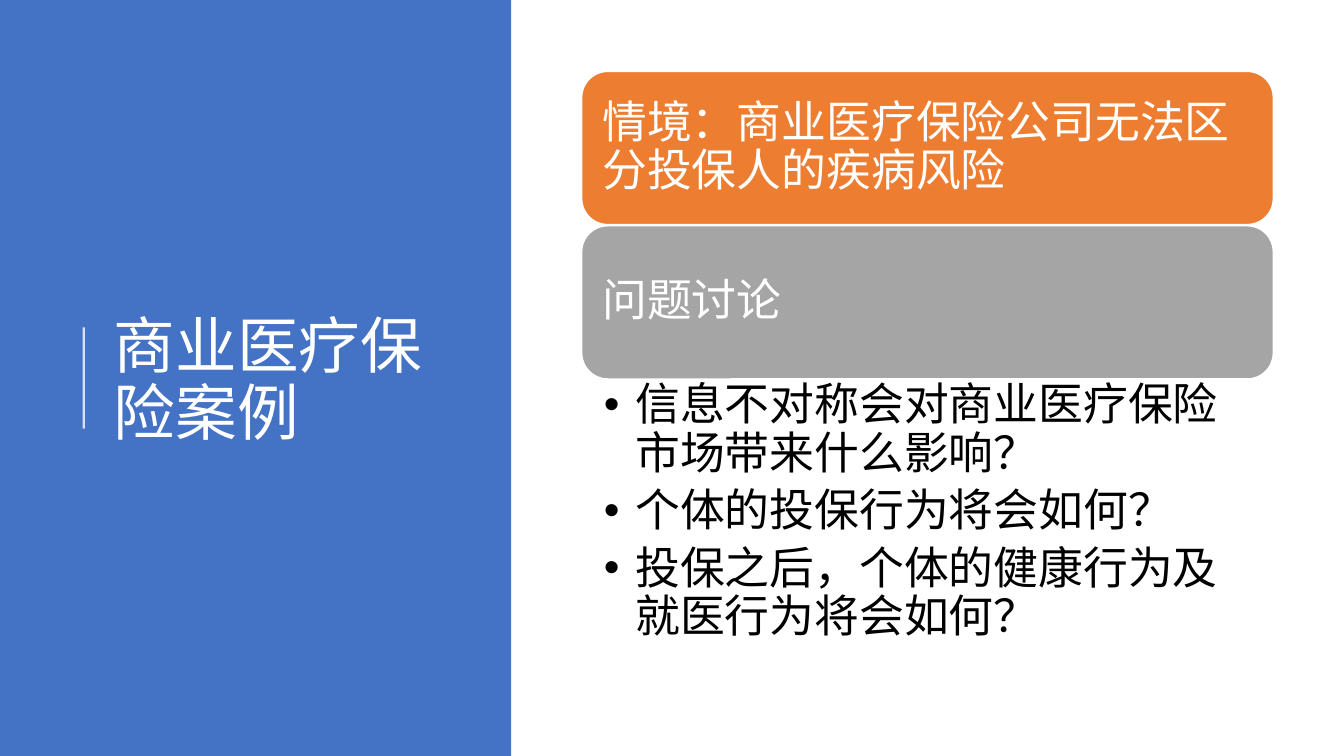
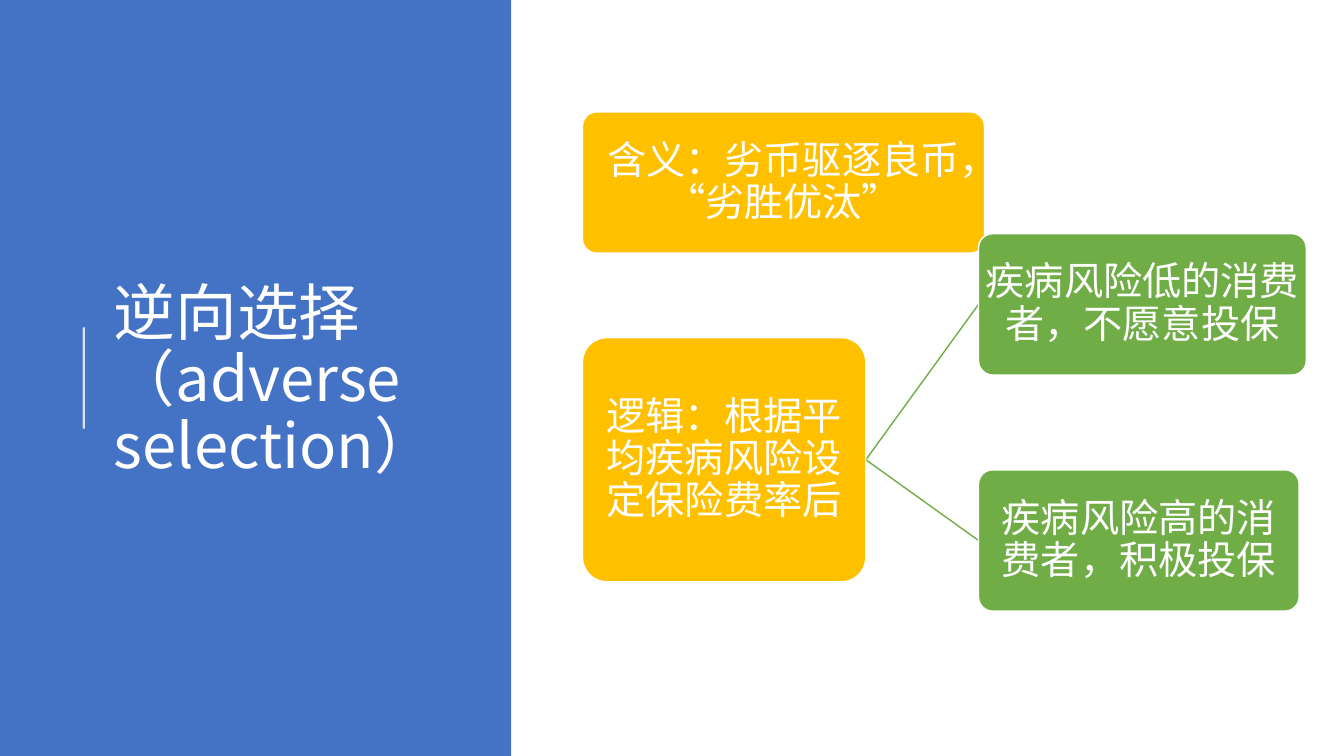
from lxml import etree
from pptx import Presentation
from pptx.dml.color import RGBColor
from pptx.enum.shapes import MSO_CONNECTOR, MSO_SHAPE
from pptx.enum.text import MSO_ANCHOR, PP_ALIGN
from pptx.oxml.ns import qn
from pptx.util import Cm, Pt

WHITE = RGBColor(0xFF, 0xFF, 0xFF)
BLACK = RGBColor(0x00, 0x00, 0x00)
BLUE = RGBColor(0x44, 0x72, 0xC4)
ORANGE = RGBColor(0xED, 0x7D, 0x31)
GREY = RGBColor(0xA5, 0xA5, 0xA5)
GOLD = RGBColor(0xFF, 0xC0, 0x00)
GREEN = RGBColor(0x70, 0xAD, 0x47)

FONT = "Noto Sans CJK SC"
LEFT, CENTER = PP_ALIGN.LEFT, PP_ALIGN.CENTER
TOP, MIDDLE = MSO_ANCHOR.TOP, MSO_ANCHOR.MIDDLE
RECTANGLE, ROUNDED = MSO_SHAPE.RECTANGLE, MSO_SHAPE.ROUNDED_RECTANGLE
STRAIGHT = MSO_CONNECTOR.STRAIGHT


def write_text(box, text, size, margins, color=WHITE, align=LEFT, anchor=MIDDLE, after=0):
    frame = box.text_frame
    frame.word_wrap = True
    frame.vertical_anchor = anchor
    frame.margin_left, frame.margin_top, frame.margin_right, frame.margin_bottom = map(Cm, margins)
    frame.text = text
    for para in frame.paragraphs:
        para.alignment = align
        para.line_spacing = 0.9
        para.space_after = Pt(size * after)
        for span in para.runs:
            span.font.size = Pt(size)
            span.font.color.rgb = color
            span.font.name = FONT
            latin = span.font._element.find(qn("a:latin"))
            latin.addnext(latin.makeelement(qn("a:ea"), {"typeface": FONT}))


def add_line(page, start, end, color, width):
    line = page.shapes.add_connector(STRAIGHT, *map(Cm, start + end))
    line.line.color.rgb = color
    line.line.width = Pt(width)
    etree.SubElement(line._element.spPr, qn("a:effectLst"))
    return line


CASE_LEFT, CASE_WIDTH, CASE_HEIGHT, CASE_STEP = 14.66, 17.43, 3.86, 3.89
CASE_TOP = 1.8
case_cards = [
    (CASE_LEFT, CASE_TOP + row * CASE_STEP, CASE_WIDTH, CASE_HEIGHT, color, text)
    for row, (color, text) in enumerate([
        (ORANGE, "情境：商业医疗保险公司无法区分投保人的疾病风险"),
        (GREY, "问题讨论"),
    ])
]

ROOT_LEFT, BRANCH_LEFT, NODE_HEIGHT = 14.68, 24.66, 3.56
meaning = (ROOT_LEFT, 2.82, 10.13, NODE_HEIGHT, GOLD, "含义：劣币驱逐良币，“劣胜优汰”")
logic = (ROOT_LEFT, 8.51, 7.14, 6.15, GOLD, "逻辑：根据平均疾病风险设定保险费率后")
branches = [
    (BRANCH_LEFT, 5.89, 8.26, NODE_HEIGHT, GREEN, "疾病风险低的消费者，不愿意投保"),
    (BRANCH_LEFT, 11.84, 8.08, NODE_HEIGHT, GREEN, "疾病风险高的消费者，积极投保"),
]

slides = [
    ("商业医疗保险案例", case_cards, 0.17, 32, 0.33, LEFT),
    ("逆向选择（adverse selection）", [meaning, logic] + branches, 0.1, 28, 0.05, CENTER),
]

deck = Presentation()
deck.slide_width, deck.slide_height = Cm(33.87), Cm(19.05)
blank = deck.slide_layouts[6]

for title, cards, rounding, size, margin, align in slides:
    page = deck.slides.add_slide(blank)
    panel = page.shapes.add_shape(RECTANGLE, 0, 0, Cm(12.88), deck.slide_height)
    panel.shadow.inherit = False
    panel.fill.solid()
    panel.fill.fore_color.rgb = BLUE
    panel.line.fill.background()

    heading = page.shapes.add_textbox(Cm(2.62), Cm(1.98), Cm(9.37), Cm(15.29))
    write_text(heading, title, 44, (0.25, 0.13, 0.25, 0.13))

    rule = add_line(page, (2.11, 8.25), (2.11, 10.8), WHITE, 1.5)
    rule_color = rule.line._ln.find(".//" + qn("a:srgbClr"))
    etree.SubElement(rule_color, qn("a:alpha"), val="80000")

    if logic in cards:
        left, top, width, height = logic[:4]
        fork = (left + width, top + height / 2)
        for branch in branches:
            add_line(page, fork, (branch[0], branch[1] + branch[3] / 2), GREEN, 1)

    for left, top, width, height, color, text in cards:
        card = page.shapes.add_shape(ROUNDED, Cm(left), Cm(top), Cm(width), Cm(height))
        card.adjustments[0] = rounding
        card.shadow.inherit = False
        card.fill.solid()
        card.fill.fore_color.rgb = color
        card.line.color.rgb = WHITE
        card.line.width = Pt(1)
        write_text(card, text, size, (margin,) * 4, align=align, after=0.35)

questions = [
    "信息不对称会对商业医疗保险市场带来什么影响？",
    "个体的投保行为将会如何？",
    "投保之后，个体的健康行为及就医行为将会如何？",
]
discussion = deck.slides[0].shapes.add_textbox(Cm(CASE_LEFT), Cm(9.53), Cm(CASE_WIDTH), Cm(7.72))
write_text(discussion, "\n".join(questions), 32, (0.56, 0.1, 0.64, 0.1), BLACK, anchor=TOP, after=0.2)
for para in discussion.text_frame.paragraphs:
    properties = para._p.get_or_add_pPr()
    properties.set("marL", str(Cm(0.79)))
    properties.set("indent", str(-Cm(0.79)))
    etree.SubElement(properties, qn("a:buFont"), typeface="Arial")
    etree.SubElement(properties, qn("a:buChar"), char="•")

deck.save("out.pptx")
